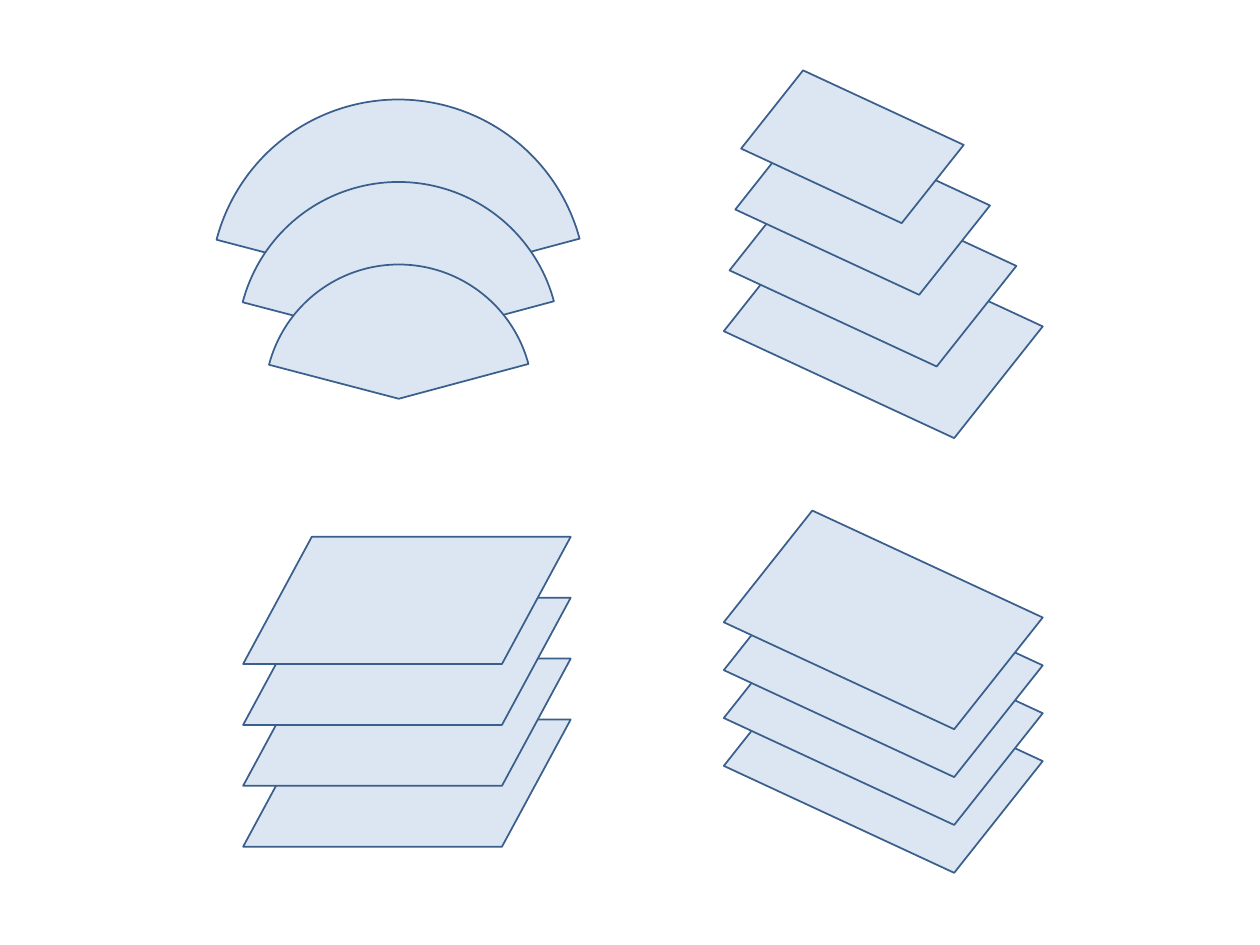
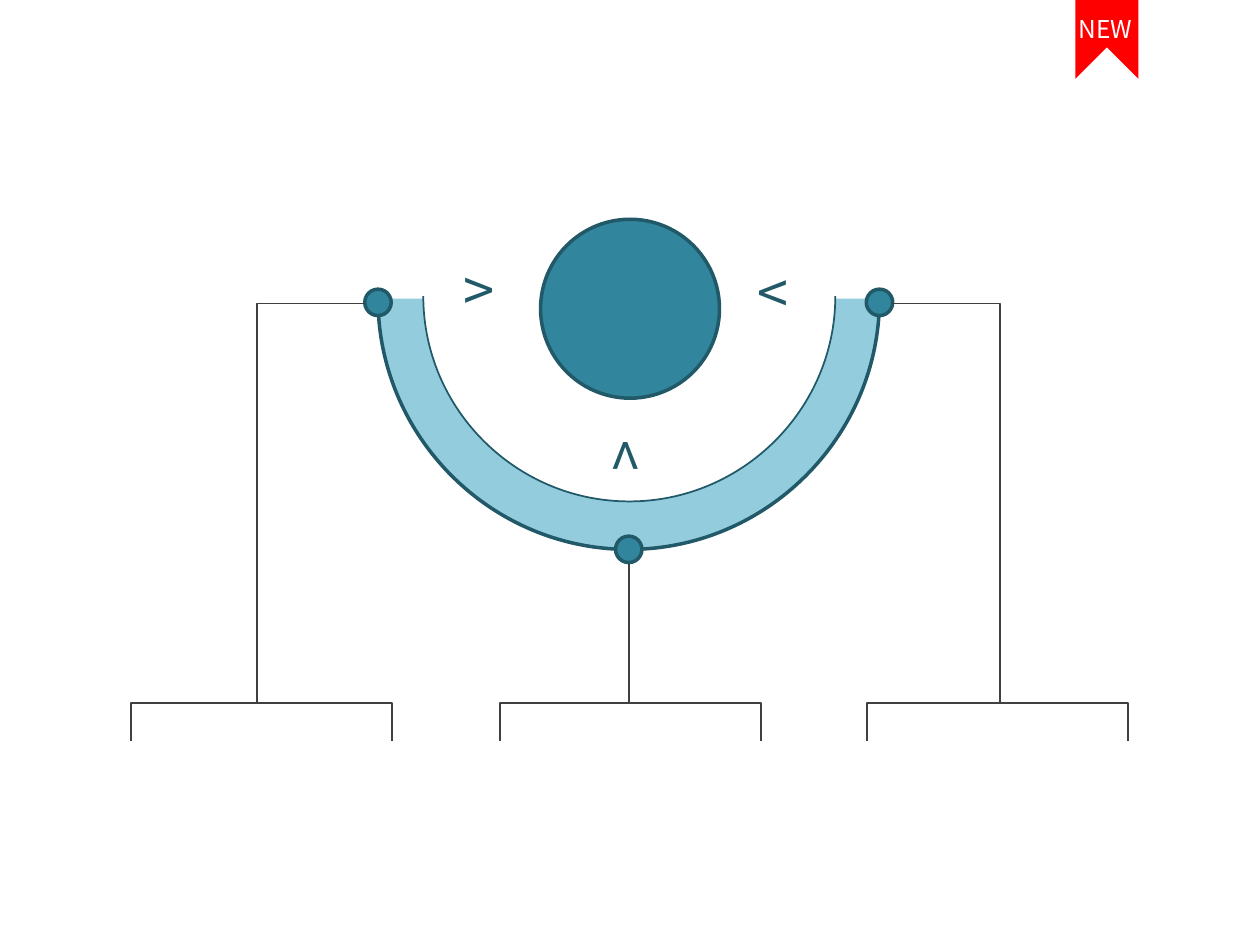
"""Build two diagram slides: stacked sheets, and a bowl with three branches."""
from lxml import etree
from pptx import Presentation
from pptx import util as u
from pptx.dml.color import RGBColor
from pptx.enum import shapes as s
from pptx.enum import text as t
from pptx.oxml import ns

PALE = RGBColor(0xDC, 0xE6, 0xF2)
NAVY = RGBColor(0x3A, 0x5F, 0x8C)
TEAL = RGBColor(0x31, 0x85, 0x9C)
DEEP = RGBColor(0x21, 0x59, 0x68)
SKY = RGBColor(0x93, 0xCD, 0xDD)
GREY = RGBColor(0x40, 0x40, 0x40)
RED = RGBColor(0xFF, 0x00, 0x00)
WHITE = RGBColor(0xFF, 0xFF, 0xFF)
FONT = "Noto Sans CJK KR"
SLANT = s.MSO_SHAPE.PARALLELOGRAM


def paint(shape, fill=None, line=None, width=1):
    """Set the fill and line of a shape and drop its shadow."""
    shape.shadow.inherit = False
    if fill is None:
        shape.fill.background()
    else:
        shape.fill.solid()
        shape.fill.fore_color.rgb = fill
    if line is None:
        shape.line.fill.background()
    else:
        shape.line.color.rgb = line
        shape.line.width = u.Pt(width)
    return shape


def add_form(parent, kind, box, *look):
    """Add a painted preset shape in a box given in inches."""
    return paint(parent.add_shape(kind, *map(u.Inches, box)), *look)


def add_trace(parent, points, *look, close=False):
    """Add a painted outline through points given in inches."""
    spots = [(u.Inches(x), u.Inches(y)) for x, y in points]
    pen = parent.build_freeform(*spots[0])
    pen.add_line_segments(spots[1:], close=close)
    return paint(pen.convert_to_shape(), *look)


def bend(shape):
    """Turn each three straight segments of an outline into one curve."""
    parts = list(shape._element.iter(ns.qn("a:lnTo")))
    for first in range(0, len(parts), 3):
        curve = etree.Element(ns.qn("a:cubicBezTo"))
        parts[first].addprevious(curve)
        for part in parts[first:first + 3]:
            curve.append(part[0])
            part.getparent().remove(part)


def add_label(parent, box, words, size, color, turn=0):
    """Add a one-line label that does not wrap."""
    label = parent.add_textbox(*map(u.Inches, box))
    label.rotation = turn
    frame = label.text_frame
    frame.word_wrap = False
    frame.auto_size = t.MSO_AUTO_SIZE.SHAPE_TO_FIT_TEXT
    run = frame.paragraphs[0].add_run()
    run.text = words
    run.font.name = FONT
    run.font.size = u.Pt(size)
    run.font.color.rgb = color


def add_pile(parent, kind, back, front, count, tweaks, turn=0):
    """Stack sheets in even steps from the back box to the front box."""
    for step in range(count):
        part = step / (count - 1)
        box = [a + (b - a) * part for a, b in zip(back, front)]
        sheet = add_form(parent, kind, box, PALE, NAVY)
        sheet.rotation = turn
        for index, value in enumerate(tweaks):
            sheet.adjustments[index] = value


def add_bowl(parent, box, fill, width):
    """Draw a half disc whose flat, unlined side is the top of the box."""
    left, top, wide, high = box
    mid, right, foot = left + wide / 2, left + wide, top + high
    over, down = 0.55 * wide / 2, 0.55 * high
    points = [(right, top), (right, top + down), (mid + over, foot), (mid, foot),
              (mid - over, foot), (left, top + down), (left, top)]
    bend(add_trace(parent, points, fill, DEEP, width))


def add_hub(parent, box):
    """Draw the bowl, its centre disc and the three inward marks."""
    left, top, wide, high = box
    add_bowl(parent, box, SKY, 2)
    add_bowl(parent, (left + 0.36, top - 0.02, wide - 0.71, high - 0.36), WHITE, 1)
    add_form(parent, s.MSO_SHAPE.OVAL, (left + 1.29, top - 0.63, 1.42, 1.42),
             TEAL, DEEP, 2)
    for over, down, turn in ((0.58, -0.39, 0), (2.84, -0.35, 180), (1.7, 0.89, 270)):
        add_label(parent, (left + over, top + down, 0.52, 0.64), ">", 32, DEEP, turn)


def add_dots(parent, box):
    """Place a dot at both ends and at the foot of the bowl."""
    left, top, wide, high = box
    size = 0.21
    for x, y in ((left, top + 0.03), (left + wide, top + 0.03),
                 (left + wide / 2, top + high)):
        add_form(parent, s.MSO_SHAPE.OVAL, (x - size / 2, y - size / 2, size, size),
                 TEAL, DEEP, 2)


def add_fork(parent, box):
    """Draw a bracket that opens downward along three sides of the box."""
    left, top, wide, high = box
    add_trace(parent, [(left, top + high), (left, top), (left + wide, top),
                       (left + wide, top + high)], None, GREY)


def add_stem(parent, x, top, foot):
    """Draw the straight line from the foot of the bowl to its bracket."""
    stem = parent.add_connector(s.MSO_CONNECTOR.STRAIGHT, *map(u.Inches, (x, top, x, foot)))
    stem.line.color.rgb = GREY
    stem.line.width = u.Pt(1)
    etree.SubElement(stem._element.spPr, ns.qn("a:effectLst"))


def add_flag(parent, box):
    """Draw the notched ribbon, turned upright, with its word as one group."""
    left, top, wide, high = box
    group = parent.add_group_shape().shapes
    flag = add_trace(group, [(left, top), (left + wide, top), (left + wide, top + high),
                             (left, top + high), (left + high / 2, top + high / 2)],
                     RED, close=True)
    flag.rotation = 270
    add_label(group, (left - 0.01, top, 0.64, 0.34), "NEW", 14, WHITE)


def build_sheets(slide):
    """Fill a slide with four piles of sheets."""
    parent = slide.shapes
    add_pile(parent, SLANT, (1.93, 5.71, 2.6, 1.01), (1.93, 4.26, 2.6, 1.01), 4, [0.54])
    add_pile(parent, s.MSO_SHAPE.PIE, (1.67, 0.79, 2.98, 2.98), (2.1, 2.1, 2.13, 2.13), 3,
             [71.79, 162], 75)
    for back, front in (((5.87, 5.51, 2.28, 1.1), (5.87, 4.37, 2.28, 1.1)),
                        ((5.87, 2.06, 2.28, 1.1), (5.97, 0.78, 1.59, 0.77))):
        group = parent.add_group_shape().shapes
        add_pile(group, SLANT, back, front, 4, [0.24], 24.9)


def build_branches(slide):
    """Fill a slide with the bowl, its three branches and the ribbon."""
    parent = slide.shapes
    bowl = (3, 2.37, 3.98, 1.99)
    mid, bar, arm = 4.99, 5.58, 2.41
    add_stem(parent, mid, 4.46, bar)
    add_hub(parent, bowl)
    add_dots(parent, bowl)
    for left in (3.97, 1.04, 6.88):
        add_fork(parent, (left, bar, 2.07, 0.3))
    for side in (-1, 1):
        far, near = mid + side * 2.95, mid + side * 2.09
        add_trace(parent, [(far, bar), (far, arm), (near, arm)], None, GREY)
    add_flag(parent, (8.47, 0.06, 0.63, 0.5))


def main():
    """Create the deck and save it."""
    deck = Presentation()
    deck.slide_width, deck.slide_height = u.Inches(10), u.Inches(7.5)
    for build in (build_sheets, build_branches):
        build(deck.slides.add_slide(deck.slide_layouts[6]))
    deck.save("out.pptx")


if __name__ == "__main__":
    main()
